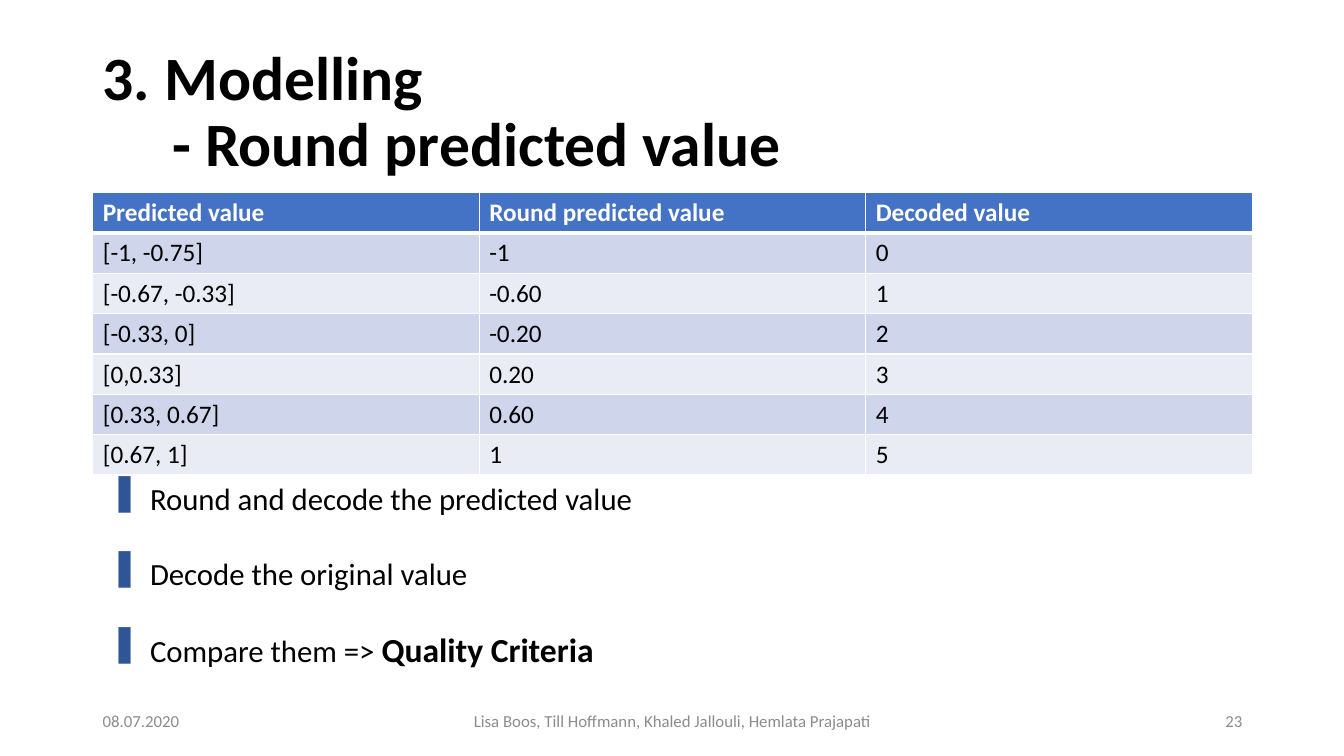
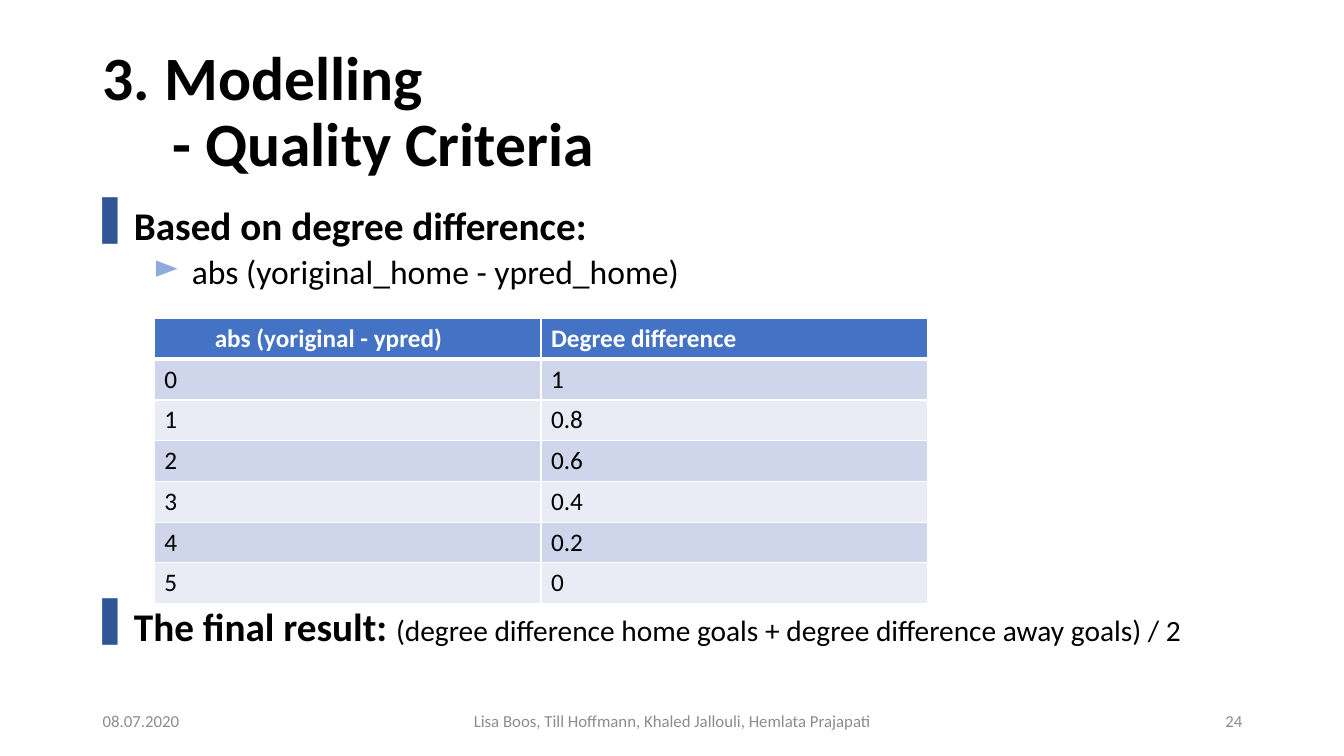
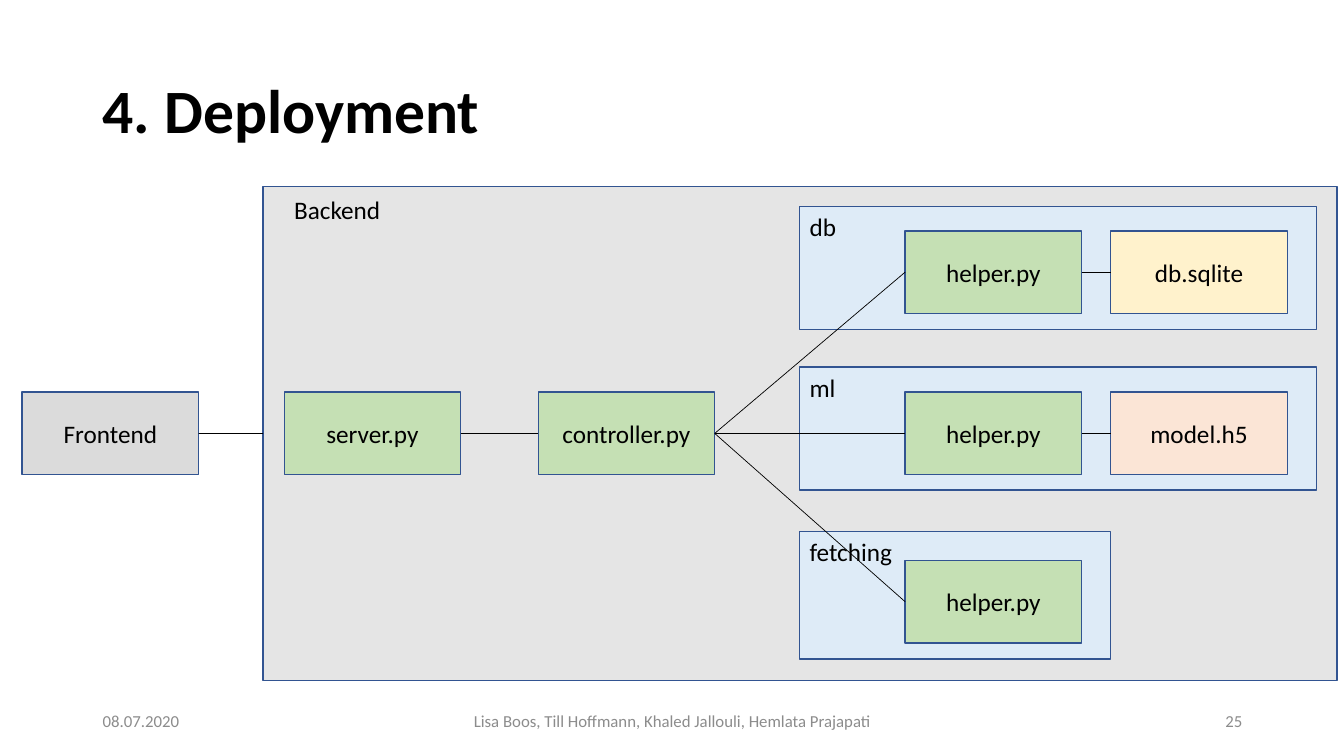
from dataclasses import dataclass

from lxml.etree import SubElement as Sub
from pptx import Presentation
from pptx.dml.color import RGBColor as Rgb
from pptx.enum.shapes import MSO_CONNECTOR as Link, MSO_SHAPE as Shape
from pptx.enum.text import MSO_ANCHOR as Anchor, MSO_AUTO_SIZE as Fit, PP_ALIGN as Align
from pptx.oxml.ns import qn
from pptx.util import Inches, Pt


@dataclass(frozen=True)
class Theme:
    font: str = "Calibri"
    ink: str = "000000"
    white: str = "FFFFFF"
    gray: str = "8C8C8C"
    head: str = "4472C4"
    bands: tuple = ("CFD5EA", "E9EBF5")
    bar: str = "2F5597"
    arrow: str = "8FAADC"
    edge: str = "325491"
    panel: str = "DEEBF7"
    code: str = "C5E0B4"
    data: str = "FFF2CC"
    model: str = "FBE5D6"
    front: str = "DBDBDB"
    title: int = 44
    lead: int = 28
    sub: int = 24
    point: int = 22
    note: int = 21
    body: int = 18
    foot: int = 12


T = Theme()


@dataclass(frozen=True)
class Box:
    """A region in inches; cut gives a percent share of it."""
    x: float
    y: float
    w: float
    h: float

    def cut(self, x, y, w, h):
        return Box(self.x + self.w * x / 100, self.y + self.h * y / 100,
                   self.w * w / 100, self.h * h / 100)

    def emu(self):
        return [Inches(v) for v in (self.x, self.y, self.w, self.h)]


PAGE = Box(0, 0, 13.33, 7.5)
TITLE = PAGE.cut(6.9, 5.33, 86.27, 19.33)
FOOT = PAGE.cut(6.9, 92.67, 86.27, 5.33)


# Text
def write(frame, text, size=T.body, color=T.ink, bold=False, align=Align.LEFT,
          left=0, hang=0, bullet=None, hue=T.bar, before=0, line=None):
    """Add a paragraph; text is a string or a list of (string, size, bold)."""
    para = frame.paragraphs[0]
    if para.runs:
        para = frame.add_paragraph()
    para.alignment, para.space_before = align, Pt(before)
    if line:
        para.line_spacing = line
    props = para._p.get_or_add_pPr()
    props.set("marL", str(Inches(left)))
    props.set("indent", str(-Inches(hang)))
    if bullet:
        paint = Sub(Sub(props, qn("a:buClr")), qn("a:srgbClr"))
        paint.set("val", hue)
        Sub(props, qn("a:buChar")).set("char", bullet)
    for words, pts, strong in [(text, size, bold)] if isinstance(text, str) else text:
        run = para.add_run()
        run.text = words
        font = run.font
        font.name, font.size, font.bold = T.font, Pt(pts), strong
        font.color.rgb = Rgb.from_string(color)


def area(slide, box, anchor=Anchor.TOP):
    frame = slide.shapes.add_textbox(*box.emu()).text_frame
    frame.word_wrap, frame.vertical_anchor = True, anchor
    return frame


# Shared title and footer
def start(deck, number, title, sub=None):
    slide = deck.slides.add_slide(deck.slide_layouts[5])
    head = slide.shapes.title
    head.left, head.top, head.width, head.height = TITLE.emu()
    frame = head.text_frame
    frame.vertical_anchor, frame.auto_size = Anchor.MIDDLE, Fit.NONE
    look = dict(size=T.title, bold=True, line=0.9)
    write(frame, title, **look)
    if sub:
        write(frame, sub, left=0.69, **look)
    names = "Lisa Boos, Till Hoffmann, Khaled Jallouli, Hemlata Prajapati"
    for text, x, w, align in (("08.07.2020", 0, 26.09, Align.LEFT),
                              (names, 30.43, 39.13, Align.CENTER),
                              (str(number), 73.91, 26.09, Align.RIGHT)):
        write(area(slide, FOOT.cut(x, 0, w, 100), Anchor.MIDDLE), text,
              size=T.foot, color=T.gray, align=align)
    return slide


# Banded table
def border(cell, **widths):
    props = cell._tc.get_or_add_tcPr()
    for side in "LRTB":
        line = Sub(props, qn("a:ln" + side), w=str(Pt(widths.get(side, 1))))
        Sub(Sub(line, qn("a:solidFill")), qn("a:srgbClr")).set("val", T.white)


def table(slide, box, rows, shift=0):
    """Draw rows; shift indents the first heading."""
    grid = slide.shapes.add_table(len(rows), len(rows[0]), *box.emu()).table
    for r, row in enumerate(rows):
        for c, text in enumerate(row):
            cell, top = grid.cell(r, c), r == 0
            border(cell, B=3 if top else 1, T=3 if r == 1 else 1)
            cell.fill.solid()
            cell.fill.fore_color.rgb = Rgb.from_string(T.head if top else T.bands[(r - 1) % 2])
            write(cell.text_frame, text, bold=top, color=T.white if top else T.ink,
                  left=shift if top and c == 0 else 0)


# Diagram blocks
def block(slide, box, fill, text=None, anchor=Anchor.MIDDLE, align=Align.CENTER, alpha=None):
    shape = slide.shapes.add_shape(Shape.RECTANGLE, *box.emu())
    shape.shadow.inherit = False
    shape.fill.solid()
    shape.fill.fore_color.rgb = Rgb.from_string(fill)
    if alpha:
        paint = shape._element.spPr.find(qn("a:solidFill"))[0]
        Sub(paint, qn("a:alpha")).set("val", str(alpha * 1000))
    shape.line.color.rgb, shape.line.width = Rgb.from_string(T.edge), Pt(1)
    if text:
        shape.text_frame.vertical_anchor = anchor
        write(shape.text_frame, text, align=align)
    return shape


def tile(slide, box, x, mid, fill, text):
    wide, high = 13.13, 10.93
    return block(slide, box.cut(x, mid - high / 2, wide, high), fill, text)


def join(slide, one, two):
    """Link the right side of one block to the left side of the next."""
    line = slide.shapes.add_connector(Link.STRAIGHT, 0, 0, 0, 0)
    line.begin_connect(one, 3)
    line.end_connect(two, 1)
    line.line.color.rgb, line.line.width = Rgb.from_string(T.ink), Pt(0.5)
    Sub(line._element.spPr, qn("a:effectLst"))


def module(slide, box, name, top, high, mid, store=None):
    """Draw a panel with its helper and an optional (file, fill)."""
    left, inset, step = 59.5, 7.85, 15.3
    count = 2 if store else 1
    block(slide, box.cut(left, top, inset + step * count, high), T.panel, name,
          Anchor.TOP, Align.LEFT)
    aid = tile(slide, box, left + inset, mid, T.code, "helper.py")
    if store:
        text, fill = store
        join(slide, aid, tile(slide, box, left + inset + step, mid, fill, text))
    return aid


# Slides
def rounding(deck):
    slide = start(deck, 23, "3. Modelling", "- Round predicted value")
    table(slide, PAGE.cut(6.9, 25.47, 86.27, 37.33), [
        ("Predicted value", "Round predicted value", "Decoded value"),
        ("[-1, -0.75]", "-1", "0"),
        ("[-0.67, -0.33]", "-0.60", "1"),
        ("[-0.33, 0]", "-0.20", "2"),
        ("[0,0.33]", "0.20", "3"),
        ("[0.33, 0.67]", "0.60", "4"),
        ("[0.67, 1]", "1", "5")])
    frame = area(slide, PAGE.cut(8.1, 62.8, 50, 26.53))
    steps = ("Round and decode the predicted value", "Decode the original value",
             [("Compare them => ", T.point, False), ("Quality Criteria", T.sub, True)])
    for i, text in enumerate(steps):
        write(frame, text, size=T.point, left=0.31, hang=0.31, bullet="▌",
              before=27 if i else 0)


def quality(deck):
    slide = start(deck, 24, "3. Modelling", "- Quality Criteria")
    frame = area(slide, PAGE.cut(6.9, 26.67, 86.27, 63.47))
    look = dict(hang=0.31, line=0.9)
    write(frame, "Based on degree difference:", size=T.lead, bold=True, left=0.31,
          bullet="▌", before=10, **look)
    write(frame, " abs (yoriginal_home - ypred_home)", size=T.sub, left=0.81,
          bullet="►", hue=T.arrow, before=5, **look)
    write(frame, [("The final result: ", T.lead, True),
                  ("(degree difference home goals + degree difference away goals) / 2",
                   T.note, False)], left=0.31, bullet="▌", before=225, **look)
    table(slide, PAGE.cut(11.48, 42.13, 57.54, 37.73), [
        ("abs (yoriginal - ypred)", "Degree difference"),
        ("0", "1"), ("1", "0.8"), ("2", "0.6"),
        ("3", "0.4"), ("4", "0.2"), ("5", "0")], shift=0.5)


def deploy(deck):
    slide = start(deck, 25, "4. Deployment")
    mid = 57.33
    back = block(slide, PAGE.cut(19.58, 24.67, 79.9, 65.33), T.ink, alpha=10)
    write(area(slide, PAGE.cut(21.15, 25.07, 11.85, 5.33)), "Backend")
    front = tile(slide, PAGE, 1.65, mid, T.front, "Frontend")
    server = tile(slide, PAGE, 21.15, mid, T.code, "server.py")
    control = tile(slide, PAGE, 40.05, mid, T.code, "controller.py")
    helpers = [module(slide, PAGE, *row) for row in (
        ("db", 27.33, 16.27, 36, ("db.sqlite", T.data)),
        ("ml", 48.53, 16.27, mid, ("model.h5", T.model)),
        ("fetching", 70.27, 16.93, 79.6))]
    join(slide, front, back)
    join(slide, server, control)
    for aid in helpers:
        join(slide, control, aid)


def main():
    deck = Presentation()
    deck.slide_width, deck.slide_height = Inches(PAGE.w), Inches(PAGE.h)
    for build in (rounding, quality, deploy):
        build(deck)
    deck.save("out.pptx")


if __name__ == "__main__":
    main()
